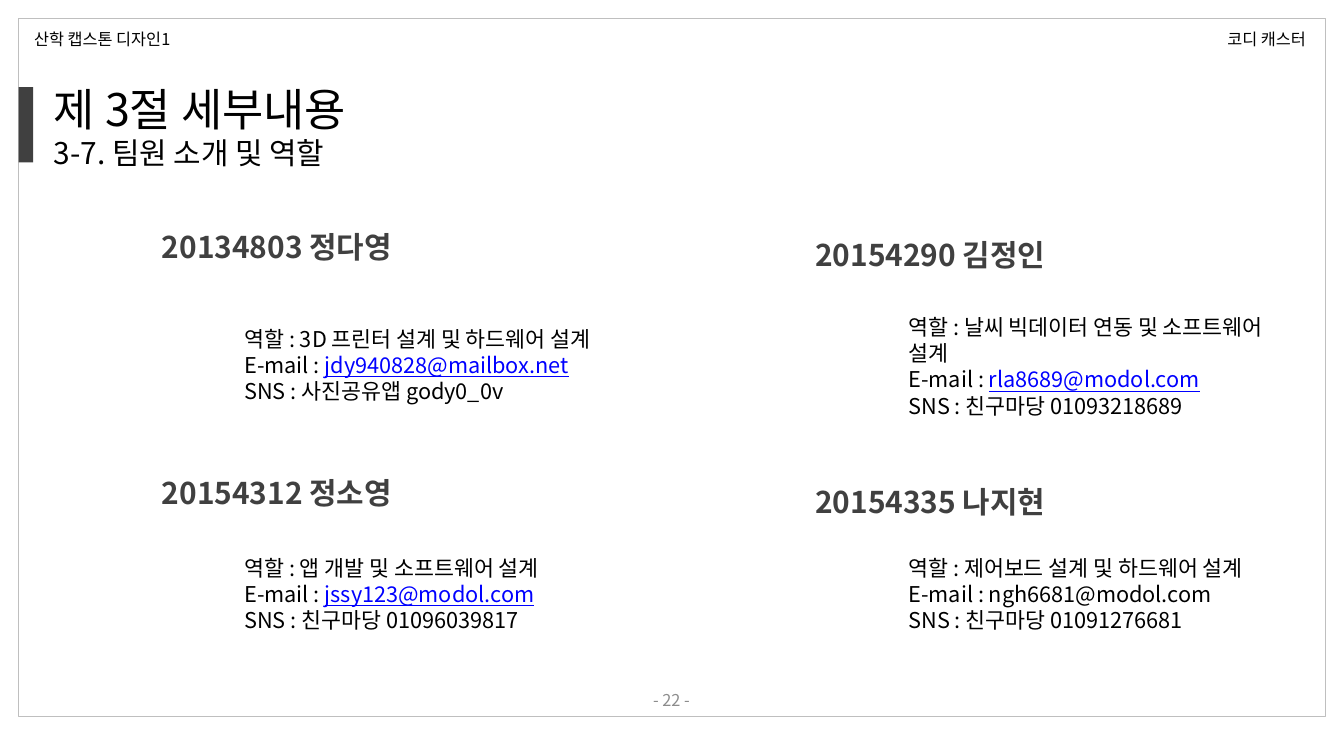
"""Build the slide that presents the four team members and their roles."""
from dataclasses import dataclass

from lxml import etree
from pptx import Presentation
from pptx import util as u
from pptx.dml.color import RGBColor
from pptx.enum import shapes, text
from pptx.oxml.ns import qn

SCALE = 9144


@dataclass(frozen=True)
class Theme:
    font: str = "Noto Sans CJK KR"
    ink: str = "000000"
    dark: str = "404040"
    frame: str = "BFBFBF"
    mute: str = "8C8C8C"
    link: str = "0000FF"
    head: int = 33
    sub: int = 22
    body: int = 16
    note: int = 12


def px(n):
    return u.Emu(n * SCALE)


class Deck:
    def __init__(self, theme, wide, high):
        self.theme = theme
        self.prs = Presentation()
        self.prs.slide_width, self.prs.slide_height = px(wide), px(high)
        self.slide = self.prs.slides.add_slide(self.prs.slide_layouts[5])

    def rect(self, box, fill=None, line=None):
        shape = self.slide.shapes.add_shape(
            shapes.MSO_SHAPE.RECTANGLE, *map(px, box))
        shape.shadow.inherit = False
        if fill:
            shape.fill.solid()
            shape.fill.fore_color.rgb = RGBColor.from_string(fill)
        else:
            shape.fill.background()
        if line:
            shape.line.color.rgb = RGBColor.from_string(line)
            shape.line.width = u.Pt(1)
        else:
            shape.line.fill.background()

    def style(self, para, size, color, bold=False, align="LEFT", gap=1.0):
        para.alignment = getattr(text.PP_ALIGN, align)
        para.line_spacing = gap
        font = para.font
        font.name, font.size, font.bold = self.theme.font, u.Pt(size), bold
        font.color.rgb = RGBColor.from_string(color)
        props = para._p.pPr.find(qn("a:defRPr"))
        etree.SubElement(props, qn("a:ea"), typeface=self.theme.font)

    def frame(self, shape, anchor="TOP"):
        frame = shape.text_frame
        frame.word_wrap = True
        frame.auto_size = text.MSO_AUTO_SIZE.NONE
        frame.vertical_anchor = getattr(text.MSO_ANCHOR, anchor)
        return frame

    def title(self, box, head, sub):
        shape = self.slide.shapes.title
        shape.left, shape.top, shape.width, shape.height = map(px, box)
        frame = self.frame(shape)
        frame.text = f"{head}\n{sub}"
        for para, size in zip(frame.paragraphs, (self.theme.head, self.theme.sub)):
            self.style(para, size, self.theme.ink)

    def label(self, box, words, size, color, anchor="TOP", **look):
        frame = self.frame(self.slide.shapes.add_textbox(*map(px, box)), anchor)
        frame.text = words
        for para in frame.paragraphs:
            self.style(para, size, color, **look)
        return frame

    def member(self, spot, name, box, role, mail, sns, linked=True):
        theme = self.theme
        self.label((*spot, 390, 58), name, theme.sub, theme.dark,
                   bold=True, align="CENTER", gap=1.5)
        frame = self.label(box, f"역할 : {role}\nE-mail : \nSNS : {sns}",
                           theme.body, theme.ink)
        run = frame.paragraphs[1].add_run()
        run.text = mail
        if linked:
            run.font.underline = True
            run.font.color.rgb = RGBColor.from_string(theme.link)


TEAM = (
    ("20134803 정다영", (240, 328, 445, 90), "3D 프린터 설계 및 하드웨어 설계",
     "jdy940828@mailbox.net", "사진공유앱 gody0_0v", True),
    ("20154290 김정인", (919, 316, 416, 118), "날씨 빅데이터 연동 및 소프트웨어 설계",
     "rla8689@modol.com", "친구마당 01093218689", True),
    ("20154312 정소영", (240, 562, 416, 90), "앱 개발 및 소프트웨어 설계",
     "jssy123@modol.com", "친구마당 01096039817", True),
    ("20154335 나지현", (919, 562, 416, 90), "제어보드 설계 및 하드웨어 설계",
     "ngh6681@modol.com", "친구마당 01091276681", False),
)


def main():
    theme = Theme()
    deck = Deck(theme, 1374, 750)
    deck.rect((19, 19, 1336, 713), line=theme.frame)
    deck.rect((19, 89, 15, 77), fill=theme.dark)
    deck.title((45, 78, 759, 103), "제 3절 세부내용", "3-7. 팀원 소개 및 역할")
    deck.label((25, 25, 220, 30), "산학 캡스톤 디자인1", theme.note, theme.ink)
    deck.label((1245, 25, 123, 30), "코디 캐스터", theme.note, theme.ink)
    for i, (name, *rest) in enumerate(TEAM):
        row, col = divmod(i, 2)
        deck.member((88 + 668 * col, 210 + 252 * row + 9 * col), name, *rest)
    deck.label((469, 695, 435, 40), "- 22 -", theme.note, theme.mute,
               anchor="MIDDLE", align="CENTER")
    deck.prs.save("out.pptx")


if __name__ == "__main__":
    main()
